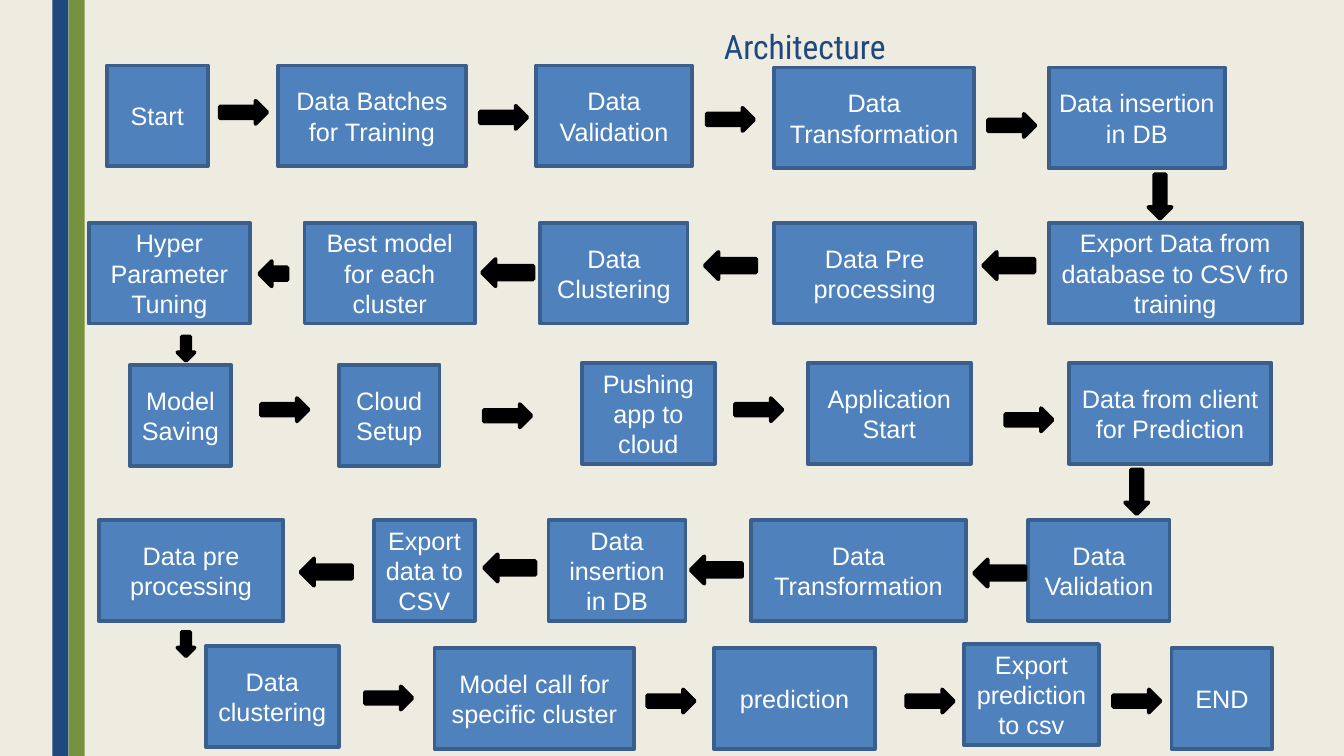
from typing import NamedTuple

from pptx import Presentation
from pptx.dml.color import RGBColor
from pptx.enum.shapes import MSO_SHAPE
from pptx.enum.text import MSO_ANCHOR, PP_ALIGN
from pptx.util import Inches, Pt

RECTANGLE = MSO_SHAPE.RECTANGLE
RIGHT, LEFT, DOWN = MSO_SHAPE.RIGHT_ARROW, MSO_SHAPE.LEFT_ARROW, MSO_SHAPE.DOWN_ARROW
CENTER, ALIGN_LEFT = PP_ALIGN.CENTER, PP_ALIGN.LEFT
MIDDLE, TOP = MSO_ANCHOR.MIDDLE, MSO_ANCHOR.TOP

CREAM = RGBColor(0xEE, 0xEC, 0xE1)
GREEN = RGBColor(0x76, 0x92, 0x3C)
NAVY = RGBColor(0x1F, 0x49, 0x7D)
BLUE = RGBColor(0x4F, 0x81, 0xBD)
BLUE_EDGE = RGBColor(0x3A, 0x5F, 0x8C)
BLACK = RGBColor(0, 0, 0)
WHITE = RGBColor(0xFF, 0xFF, 0xFF)

STEP_HEIGHT = 1.0
OUTLINE = Pt(2.75)


class Step(NamedTuple):
    left: float
    top: float
    width: float
    label: str


class Arrow(NamedTuple):
    left: float
    top: float


STEPS = [
    # Training data intake
    Step(1.06, 0.65, 1, "Start"),
    Step(2.76, 0.65, 1.86, "Data Batches for Training"),
    Step(5.32, 0.65, 1.54, "Data Validation"),
    Step(7.68, 0.67, 1.98, "Data Transformation"),
    Step(10.4, 0.67, 1.75, "Data insertion in DB"),
    # Model training, right to left
    Step(10.4, 2.21, 2.51, "Export Data from database to CSV fro training"),
    Step(7.68, 2.21, 1.99, "Data Pre processing"),
    Step(5.36, 2.21, 1.46, "Data Clustering"),
    Step(3.02, 2.21, 1.69, "Best model for each cluster"),
    Step(0.88, 2.21, 1.6, "Hyper Parameter Tuning"),
    # Deployment
    Step(1.29, 3.62, 1, "Model Saving"),
    Step(3.36, 3.62, 1, "Cloud Setup"),
    Step(5.77, 3.6, 1.32, "Pushing app to cloud"),
    Step(8.01, 3.6, 1.62, "Application Start"),
    Step(10.6, 3.6, 2.01, "Data from client for Prediction"),
    # Client data preparation, right to left
    Step(10.2, 5.16, 1.4, "Data Validation"),
    Step(7.45, 5.16, 2.13, "Data Transformation"),
    Step(5.44, 5.16, 1.36, "Data insertion in DB"),
    Step(3.71, 5.16, 1, "Export data to CSV"),
    Step(0.98, 5.16, 1.83, "Data pre processing"),
    # Prediction
    Step(2.04, 6.41, 1.32, "Data clustering"),
    Step(4.31, 6.43, 1.98, "Model call for specific cluster"),
    Step(7.08, 6.43, 1.6, "prediction"),
    Step(9.56, 6.39, 1.34, "Export prediction to csv"),
    Step(11.62, 6.43, 1, "END"),
]

# Arrows grouped by direction and size: (kind, width, height, places)
ARROW_GROUPS = [
    (RIGHT, 0.47, 0.23, [
        Arrow(2.18, 1), Arrow(4.76, 1.05), Arrow(7.01, 1.07), Arrow(9.8, 1.13),
        Arrow(2.59, 3.95), Arrow(4.8, 4.01), Arrow(7.29, 3.95), Arrow(9.97, 4.05),
        Arrow(3.62, 6.81), Arrow(6.42, 6.84), Arrow(8.99, 6.84), Arrow(11.04, 6.84),
    ]),
    (LEFT, 0.51, 0.27, [
        Arrow(9.75, 2.5), Arrow(6.99, 2.5), Arrow(4.78, 2.57),
        Arrow(9.66, 5.55), Arrow(6.85, 5.52), Arrow(4.8, 5.5), Arrow(2.98, 5.54),
    ]),
    (LEFT, 0.28, 0.25, [Arrow(2.57, 2.59)]),
    (DOWN, 0.23, 0.44, [Arrow(11.39, 1.73), Arrow(11.16, 4.66)]),
    (DOWN, 0.17, 0.24, [Arrow(1.76, 3.34), Arrow(1.76, 6.27)]),
]


def add_block(page, kind, left: float, top: float, width: float, height: float,
              fill: RGBColor, edge: RGBColor | None = None):
    block = page.shapes.add_shape(
        kind, Inches(left), Inches(top), Inches(width), Inches(height))
    block.shadow.inherit = False
    block.fill.solid()
    block.fill.fore_color.rgb = fill
    if edge is None:
        block.line.fill.background()
    else:
        block.line.color.rgb = edge
        block.line.width = OUTLINE
    return block


def style_text(paragraph, font_name: str, size: int, color: RGBColor, alignment) -> None:
    paragraph.alignment = alignment
    paragraph.font.name = font_name
    paragraph.font.size = Pt(size)
    paragraph.font.color.rgb = color


def add_step(page, step: Step) -> None:
    box = add_block(page, RECTANGLE, step.left, step.top, step.width, STEP_HEIGHT,
                    BLUE, BLUE_EDGE)
    frame = box.text_frame
    frame.word_wrap = True
    frame.vertical_anchor = MIDDLE
    frame.text = step.label
    style_text(frame.paragraphs[0], "Arial", 18, WHITE, CENTER)


def set_title(page, text: str) -> None:
    title = page.shapes.title
    title.left, title.top = Inches(1.12), Inches(0.26)
    title.width, title.height = Inches(10.5), Inches(0.55)
    frame = title.text_frame
    frame.text = text
    frame.vertical_anchor = TOP
    frame.margin_left = Inches(6.06)
    paragraph = frame.paragraphs[0]
    paragraph.line_spacing = 0.89
    style_text(paragraph, "Roboto Condensed", 24, NAVY, ALIGN_LEFT)


deck = Presentation()
deck.slide_width, deck.slide_height = Inches(13.33), Inches(7.5)
page = deck.slides.add_slide(deck.slide_layouts[5])
page.background.fill.solid()
page.background.fill.fore_color.rgb = CREAM

# Side bars and title
add_block(page, RECTANGLE, 0.68, 0, 0.16, 7.5, GREEN)
add_block(page, RECTANGLE, 0.52, 0, 0.16, 7.5, NAVY)
set_title(page, "Architecture")

# Flow steps and the arrows between them
for step in STEPS:
    add_step(page, step)
for kind, width, height, arrows in ARROW_GROUPS:
    for arrow in arrows:
        add_block(page, kind, arrow.left, arrow.top, width, height, BLACK, BLACK)

deck.save("out.pptx")
